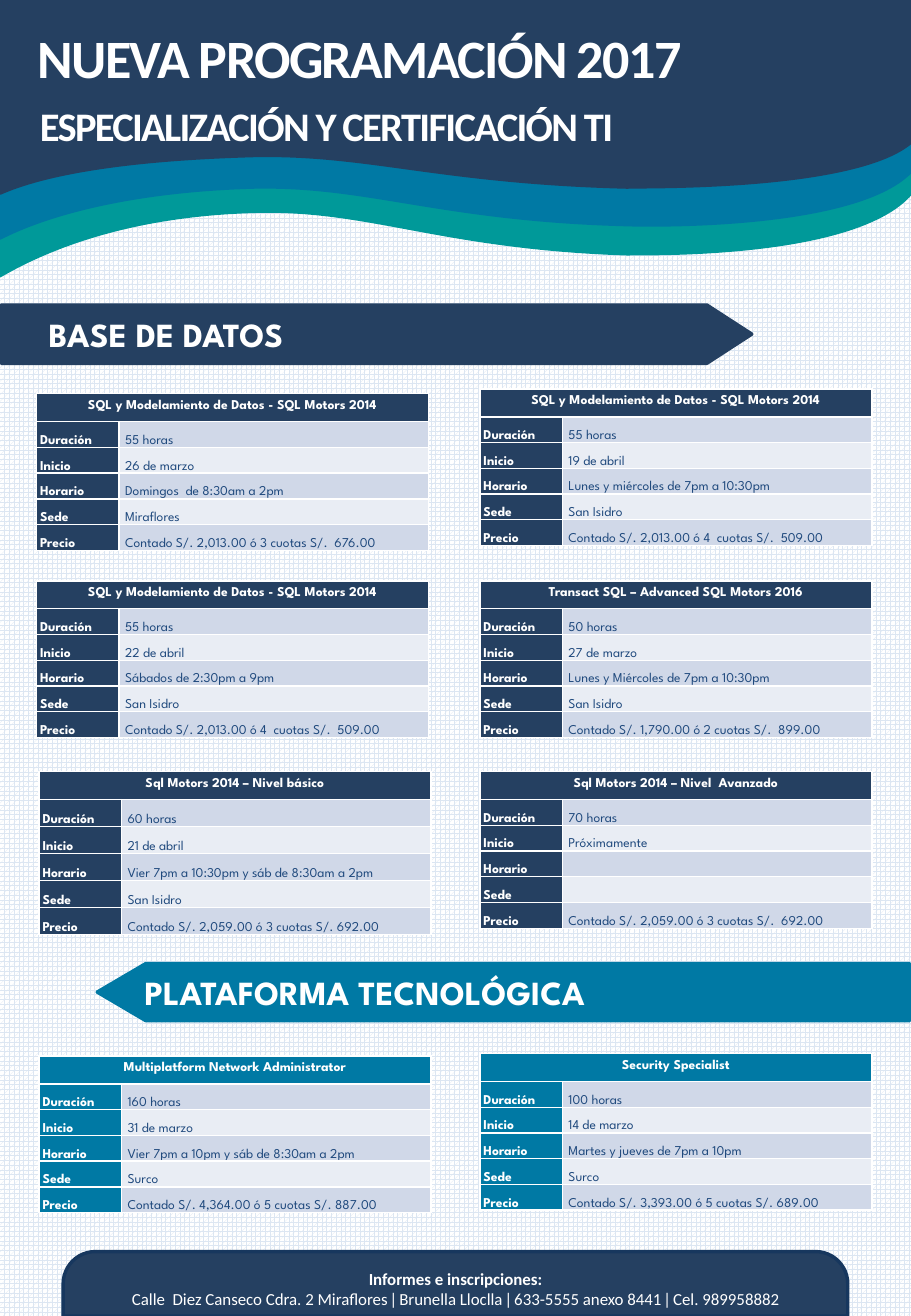
from lxml import etree
from pptx import Presentation
from pptx.dml.color import RGBColor
from pptx.enum.dml import MSO_PATTERN
from pptx.enum.shapes import MSO_SHAPE
from pptx.enum.text import MSO_ANCHOR, MSO_AUTO_SIZE, PP_ALIGN
from pptx.oxml.ns import qn
from pptx.util import Inches, Pt

SPHERE = MSO_PATTERN.SPHERE
ROUND = MSO_SHAPE.ROUND_2_SAME_RECTANGLE
TOP, MIDDLE, BOTTOM = MSO_ANCHOR.TOP, MSO_ANCHOR.MIDDLE, MSO_ANCHOR.BOTTOM
FIXED = MSO_AUTO_SIZE.NONE
LEFT, CENTER = PP_ALIGN.LEFT, PP_ALIGN.CENTER

NAVY = RGBColor(0x25, 0x40, 0x61)
EDGE = RGBColor(0x17, 0x37, 0x5E)
BLUE = RGBColor(0x00, 0x79, 0xA4)
TEAL = RGBColor(0x00, 0x99, 0x99)
INK = RGBColor(0x1F, 0x49, 0x7D)
WHITE = RGBColor(0xFF, 0xFF, 0xFF)
GRID = RGBColor(0xDC, 0xE6, 0xF2)
BANDS = RGBColor(0xD0, 0xD8, 0xE8), RGBColor(0xE9, 0xED, 0xF4)

SANS, SPARTAN = "Calibri", "League Spartan"
WIDE, HIGH = 7.5, 10.83
LABELS = "Duración", "Inicio", "Horario", "Sede", "Precio"

# Lower edges of the header waves, right to left: start, then Bézier triples
WAVES = [
    (TEAL, (7.5, 1.59), [
        ((7.02, 2.15), (5.16, 2.08), (5.18, 2.09)),
        ((3.62, 2.04), (3.04, 1.71), (2.09, 1.74)),
        ((1.03, 1.77), (0.36, 2.06), (0, 2.27))]),
    (BLUE, (7.5, 1.41), [
        ((7.02, 1.91), (5.16, 1.85), (5.18, 1.85)),
        ((3.62, 1.81), (3.04, 1.52), (2.09, 1.54)),
        ((1.03, 1.57), (0.35, 1.78), (0, 1.96))]),
    (NAVY, (7.5, 1.17), [
        ((7.02, 1.58), (5.16, 1.53), (5.17, 1.54)),
        ((3.61, 1.5), (3.03, 1.26), (2.09, 1.28)),
        ((1.02, 1.31), (0.36, 1.43), (0, 1.59))]),
]

MODEL = "SQL y Modelamiento de Datos - SQL Motors 2014"
# Left, top, height, title, values
DATA = [
    (0.3, 3.24, 1.29, MODEL,
     ["55 horas", "26 de marzo", "Domingos  de 8:30am a 2pm", "Miraflores",
      "Contado S/. 2,013.00 ó 3 cuotas S/.  676.00"]),
    (3.95, 3.2, 1.29, MODEL,
     ["55 horas", "19 de abril", "Lunes y miércoles de 7pm a 10:30pm", "San Isidro",
      "Contado S/. 2,013.00 ó 4  cuotas S/.  509.00"]),
    (0.3, 4.78, 1.29, MODEL,
     ["55 horas", "22 de abril", "Sábados de 2:30pm a 9pm", "San Isidro",
      "Contado S/. 2,013.00 ó 4  cuotas S/.  509.00"]),
    (3.95, 4.78, 1.29, "Transact SQL – Advanced SQL Motors 2016",
     ["50 horas", "27 de marzo", "Lunes y Miércoles de 7pm a 10:30pm", "San Isidro",
      "Contado S/. 1,790.00 ó 2 cuotas S/.  899.00"]),
    (0.32, 6.35, 1.34, "Sql Motors 2014 – Nivel básico",
     ["60 horas", "21 de abril", "Vier 7pm a 10:30pm y sáb de 8:30am a 2pm",
      "San Isidro", "Contado S/. 2,059.00 ó 3 cuotas S/. 692.00"]),
    (3.95, 6.35, 1.29, "Sql Motors 2014 – Nivel  Avanzado",
     ["70 horas", "Próximamente", "", "",
      "Contado S/. 2,059.00 ó 3 cuotas S/.  692.00"]),
]
TECH = [
    (0.32, 8.69, 1.29, "Multiplatform Network Administrator",
     ["160 horas", "31 de marzo", "Vier 7pm a 10pm y sáb de 8:30am a 2pm", "Surco",
      "Contado S/. 4,364.00 ó 5 cuotas S/. 887.00"]),
    (3.95, 8.67, 1.29, "Security Specialist",
     ["100 horas", "14 de marzo", "Martes y jueves de 7pm a 10pm", "Surco",
      "Contado S/. 3,393.00 ó 5 cuotas S/. 689.00"]),
]


def style(para, size, font=SANS, color=WHITE, bold=True, align=LEFT):
    para.alignment = align
    for run in para.runs:
        run.font.size, run.font.name = Pt(size), font
        run.font.bold, run.font.color.rgb = bold, color


def paint(shape, fill, line):
    shape.shadow.inherit = False
    shape.fill.solid()
    shape.fill.fore_color.rgb = fill
    shape.line.color.rgb = line
    shape.line.width = Pt(2)


def outline(slide, x, y, points, color):
    spots = [(Inches(x + px), Inches(y + py)) for px, py in points]
    pen = slide.shapes.build_freeform(*spots[0])
    pen.add_line_segments(spots[1:], close=True)
    shape = pen.convert_to_shape()
    paint(shape, color, color)
    return shape


def wave(slide, x, y, color, start, bends):
    points = [(0, 0), (WIDE, 0), start] + [bend[-1] for bend in bends]
    shape = outline(slide, x, y, points, color)
    # Turn the lower edges into Bézier curves
    edges = list(shape.element.iter(qn("a:lnTo")))[2:2 + len(bends)]
    for edge, bend in zip(edges, bends):
        edge.tag = qn("a:cubicBezTo")
        for i, (px, py) in enumerate(bend[:2]):
            spot = etree.Element(qn("a:pt"), x=str(Inches(px)), y=str(Inches(py)))
            edge.insert(i, spot)


def heading(shape, box, text, size):
    shape.left, shape.top, shape.width, shape.height = map(Inches, box)
    frame = shape.text_frame
    frame.text = text
    frame.word_wrap, frame.auto_size = True, FIXED
    frame.vertical_anchor = TOP
    para = frame.paragraphs[0]
    style(para, size)
    para.runs[0].font._element.set("spc", "-100")


def header(slide, x, y):
    # Waves, back to front
    for item in WAVES:
        wave(slide, x, y, *item)
    # Title lies over the waves
    sub = slide.shapes.add_textbox(0, 0, 0, 0)
    heading(sub, (x + 0.23, y + 0.78, 5.65, 0.5),
            "ESPECIALIZACIÓN Y CERTIFICACIÓN TI", 24)
    title = slide.shapes.title
    sub.element.addnext(title.element)
    heading(title, (x + 0.21, y + 0.15, 6.24, 0.64), "NUEVA PROGRAMACIÓN 2017", 32)


def banner(slide, x, y, w, h, tip, text, color, right=True):
    points = [(0, 0), (w - tip, 0), (w, h / 2), (w - tip, h), (0, h)]
    if not right:
        points = [(w - px, py) for px, py in points]
    shape = outline(slide, x, y, points, color)
    frame = shape.text_frame
    frame.text = text
    frame.word_wrap, frame.vertical_anchor = True, MIDDLE
    frame.margin_left = Inches(0.39)
    style(frame.paragraphs[0], 20, SPARTAN)


def cell_box(cell, text, fill, color=WHITE, bold=True, side=None):
    props = cell._tc.get_or_add_tcPr()
    for tag in ("a:lnL", "a:lnR", "a:lnT", "a:lnB"):
        line = etree.SubElement(props, qn(tag), w=str(Pt(1)))
        solid = etree.SubElement(line, qn("a:solidFill"))
        etree.SubElement(solid, qn("a:srgbClr"), val=str(WHITE))
    cell.fill.solid()
    cell.fill.fore_color.rgb = fill
    cell.text_frame.text = text
    para = cell.text_frame.paragraphs[0]
    style(para, 8, SPARTAN, color, bold, CENTER if side is None else LEFT)
    if side is not None:
        cell.margin_left = cell.margin_right = Inches(side)
        cell.margin_top = cell.margin_bottom = 0
        cell.vertical_anchor = BOTTOM
        para.line_spacing = 1.15
    if not text:
        etree.SubElement(para._p, qn("a:endParaRPr"), sz="800")


def course(slide, x, y, h, title, values, color, head=0.23):
    count = len(LABELS)
    table = slide.shapes.add_table(
        count + 1, 2, Inches(x), Inches(y), Inches(3.23), Inches(h)).table
    table.first_row = table.horz_banding = False
    table.columns[0].width, table.columns[1].width = Inches(0.68), Inches(2.55)
    for i, row in enumerate(table.rows):
        row.height = Inches((h - head) / count if i else head)
    table.cell(0, 0).merge(table.cell(0, 1))
    cell_box(table.cell(0, 0), title, color)
    for i, (label, value) in enumerate(zip(LABELS, values)):
        cell_box(table.cell(i + 1, 0), label, color, side=0.03)
        cell_box(table.cell(i + 1, 1), value, BANDS[i % 2], INK, False, 0.05)


def footer(slide, x, y, w, h):
    shape = slide.shapes.add_shape(ROUND, Inches(x), Inches(y), Inches(w), Inches(h))
    shape.adjustments[0], shape.adjustments[1] = 0.5, 0
    paint(shape, NAVY, EDGE)
    frame = shape.text_frame
    frame.text = ("Informes e inscripciones:\nCalle  Diez Canseco Cdra. 2 Miraflores ǀ "
                  "Brunella Lloclla ǀ 633-5555 anexo 8441 ǀ Cel. 989958882")
    frame.word_wrap, frame.vertical_anchor = True, MIDDLE
    for para, bold in zip(frame.paragraphs, (True, False)):
        style(para, 10, bold=bold, align=CENTER)


def main():
    deck = Presentation()
    deck.slide_width, deck.slide_height = Inches(WIDE), Inches(HIGH)
    slide = deck.slides.add_slide(deck.slide_layouts[5])
    back = slide.background.fill
    back.patterned()
    back.pattern = SPHERE
    back.fore_color.rgb, back.back_color.rgb = GRID, WHITE

    footer(slide, 0.52, 10.3, 6.46, 0.53)
    header(slide, 0, 0)
    # Course sections
    banner(slide, 0.01, 2.51, 6.18, 0.48, 0.37, "BASE DE DATOS", NAVY)
    for item in DATA:
        course(slide, *item, NAVY)
    banner(slide, 0.8, 7.93, 6.69, 0.47, 0.4, "PLATAFORMA TECNOLÓGICA", BLUE, False)
    for item in TECH:
        course(slide, *item, BLUE)
    deck.save("out.pptx")


if __name__ == "__main__":
    main()
